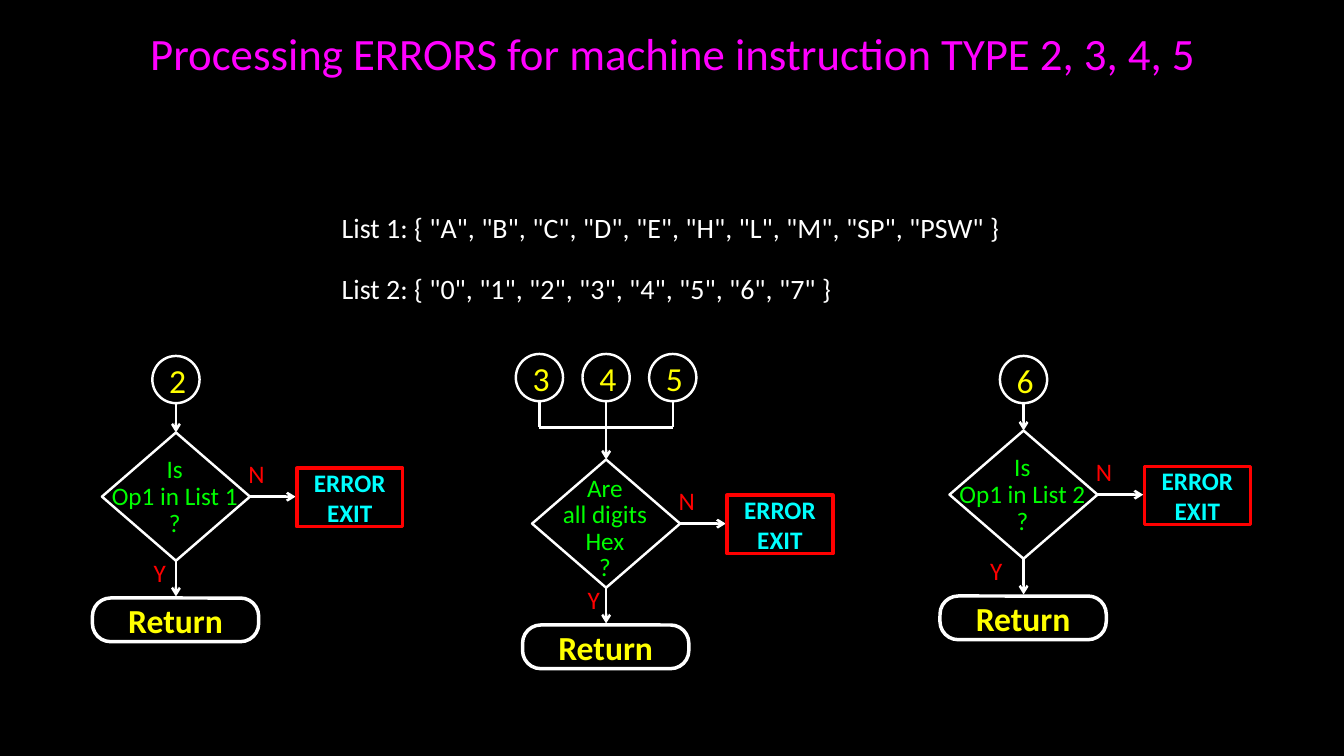
from dataclasses import dataclass

from lxml.etree import SubElement
from pptx import Presentation
from pptx.dml.color import RGBColor
from pptx.enum.shapes import MSO_CONNECTOR, MSO_SHAPE
from pptx.enum.text import MSO_ANCHOR as Anchor, PP_ALIGN as Align
from pptx.oxml.ns import qn
from pptx.util import Cm, Pt


@dataclass(frozen=True)
class Theme:
    font: str = "Calibri"
    background: str = "000000"
    white: str = "FFFFFF"
    yellow: str = "FFFF00"
    green: str = "00FF00"
    red: str = "FF0000"
    cyan: str = "00FFFF"
    magenta: str = "FF00FF"
    title_size: int = 32
    large: int = 24
    list_size: int = 20
    normal: int = 18
    thin: float = 1.75
    thick: float = 2.5


THEME = Theme()
DIAMOND_WIDTH, DIAMOND_HEIGHT = 3.73, 3.23
CIRCLE, CIRCLE_STEP = 1.19, 1.68
BUS_Y = 10.77


# Text
def write(shape, text, size, color, bold=False, align=Align.CENTER,
          anchor=Anchor.MIDDLE, spacing=None, inset=None):
    frame = shape.text_frame
    frame.text = text
    frame.word_wrap = True
    frame.vertical_anchor = anchor
    if inset is not None:
        for side in ("left", "top", "right", "bottom"):
            setattr(frame, f"margin_{side}", Cm(inset))
    font_format = {"name": THEME.font, "size": Pt(size), "bold": bold}
    for paragraph in frame.paragraphs:
        paragraph.alignment = align
        if spacing:
            paragraph.line_spacing = Pt(spacing)
        font = paragraph.runs[0].font
        for name, value in font_format.items():
            setattr(font, name, value)
        font.color.rgb = RGBColor.from_string(color)


def add_text(slide, box, text, size, color, align=Align.LEFT, **options):
    shape = slide.shapes.add_textbox(*map(Cm, box))
    write(shape, text, size, color, align=align, anchor=Anchor.TOP, **options)


# Outlined shapes and lines
def set_line(item, color, width):
    item.line.color.rgb = RGBColor.from_string(color)
    item.line.width = Pt(width)


def add_outline(slide, kind, box, color=THEME.white, width=THEME.thin):
    shape = slide.shapes.add_shape(kind, *map(Cm, box))
    shape.shadow.inherit = False
    shape.fill.background()
    set_line(shape, color, width)
    return shape


def add_line(slide, start, end, arrow=False):
    line = slide.shapes.add_connector(
        MSO_CONNECTOR.STRAIGHT, *map(Cm, (*start, *end)))
    set_line(line, THEME.white, THEME.thin)
    if arrow:
        SubElement(line.line._get_or_add_ln(), qn("a:tailEnd"), type="arrow")
    SubElement(line._element.spPr, qn("a:effectLst"))


# Flowchart elements
def add_entry(slide, number, center, top):
    circle = add_outline(slide, MSO_SHAPE.FLOWCHART_CONNECTOR,
                         (center - CIRCLE / 2, top, CIRCLE, CIRCLE))
    write(circle, number, THEME.large, THEME.yellow)


def add_entries(slide, numbers, center, top, diamond_top):
    bottom = top + CIRCLE
    middle = (len(numbers) - 1) / 2
    centers = [center + (i - middle) * CIRCLE_STEP for i in range(len(numbers))]
    for number, x in zip(numbers, centers):
        add_entry(slide, number, x, top)
        if x != center:
            add_line(slide, (x, bottom), (x, BUS_Y))
    if len(numbers) > 1:
        add_line(slide, (centers[0], BUS_Y), (centers[-1], BUS_Y))
    add_line(slide, (center, bottom), (center, diamond_top), arrow=True)


def add_decision(slide, left, top, question, text_top):
    add_outline(slide, MSO_SHAPE.DIAMOND,
                (left, top, DIAMOND_WIDTH, DIAMOND_HEIGHT))
    add_text(slide, (left - 0.31, top + text_top, 4.29, 2.3), question,
             THEME.normal, THEME.green, align=Align.CENTER, spacing=19)


def add_error_exit(slide, left, top):
    box = add_outline(slide, MSO_SHAPE.RECTANGLE, (left, top, 2.67, 1.47),
                      THEME.red, THEME.thick)
    write(box, "ERROR\nEXIT", THEME.normal, THEME.cyan, bold=True)


def add_return(slide, left, top):
    box = add_outline(slide, MSO_SHAPE.ROUNDED_RECTANGLE,
                      (left, top, 4.19, 1.1), width=THEME.thick)
    box.adjustments[0] = 0.416
    write(box, "Return", THEME.large, THEME.yellow, bold=True)


def add_branch_label(slide, left, top, text):
    add_text(slide, (left, top, 1.7, 0.8), text, THEME.normal, THEME.red,
             inset=0)


def add_flow(slide, numbers, left, top, entry_top, question, text_top, yes_left):
    center, middle = left + DIAMOND_WIDTH / 2, top + DIAMOND_HEIGHT / 2
    add_entries(slide, numbers, center, entry_top, top)
    add_decision(slide, left, top, question, text_top)
    # No: error exit on the right
    add_line(slide, (left + 3.68, middle), (left + 4.88, middle), arrow=True)
    add_branch_label(slide, left + 3.69, top + 0.66, "N")
    add_error_exit(slide, left + 4.91, top + 0.9)
    # Yes: return below
    add_line(slide, (center, top + DIAMOND_HEIGHT), (center, top + 4.13),
             arrow=True)
    add_branch_label(slide, left + yes_left, top + 3.14, "Y")
    add_return(slide, left - 0.24, top + 4.17)


def add_title(slide, text):
    title = slide.shapes.title
    box = {"left": 3.53, "top": 0.51, "width": 27.2, "height": 1.63}
    for name, value in box.items():
        setattr(title, name, Cm(value))
    write(title, text, THEME.title_size, THEME.magenta, align=Align.LEFT,
          anchor=Anchor.TOP)


def main():
    presentation = Presentation()
    presentation.slide_width, presentation.slide_height = Cm(33.87), Cm(19.05)
    slide = presentation.slides.add_slide(presentation.slide_layouts[5])
    slide.background.fill.solid()
    slide.background.fill.fore_color.rgb = RGBColor.from_string(THEME.background)

    # Title and operand lists
    add_title(slide, "Processing ERRORS for machine instruction TYPE 2, 3, 4, 5")
    lists = (
        'List 1: { "A", "B", "C", "D", "E", "H", "L", "M", "SP", "PSW" }',
        'List 2: { "0", "1", "2", "3", "4", "5", "6", "7" }',
    )
    for row, text in enumerate(lists):
        add_text(slide, (8.36, 5.18 + row * 1.53, 18.16, 1.12), text,
                 THEME.list_size, THEME.white)

    # One flow for each group of instruction types
    add_flow(slide, "2", 2.57, 10.9, 8.97, "Is\nOp1 in List 1\n?", 0.5, 1.3)
    add_flow(slide, "345", 13.41, 11.58, 8.92,
             "Are\nall digits\nHex\n?", 0.28, 1.4)
    add_flow(slide, "6", 23.93, 10.85, 8.97, "Is\nOp1 in List 2\n?", 0.5, 1.02)

    presentation.save("out.pptx")


if __name__ == "__main__":
    main()
